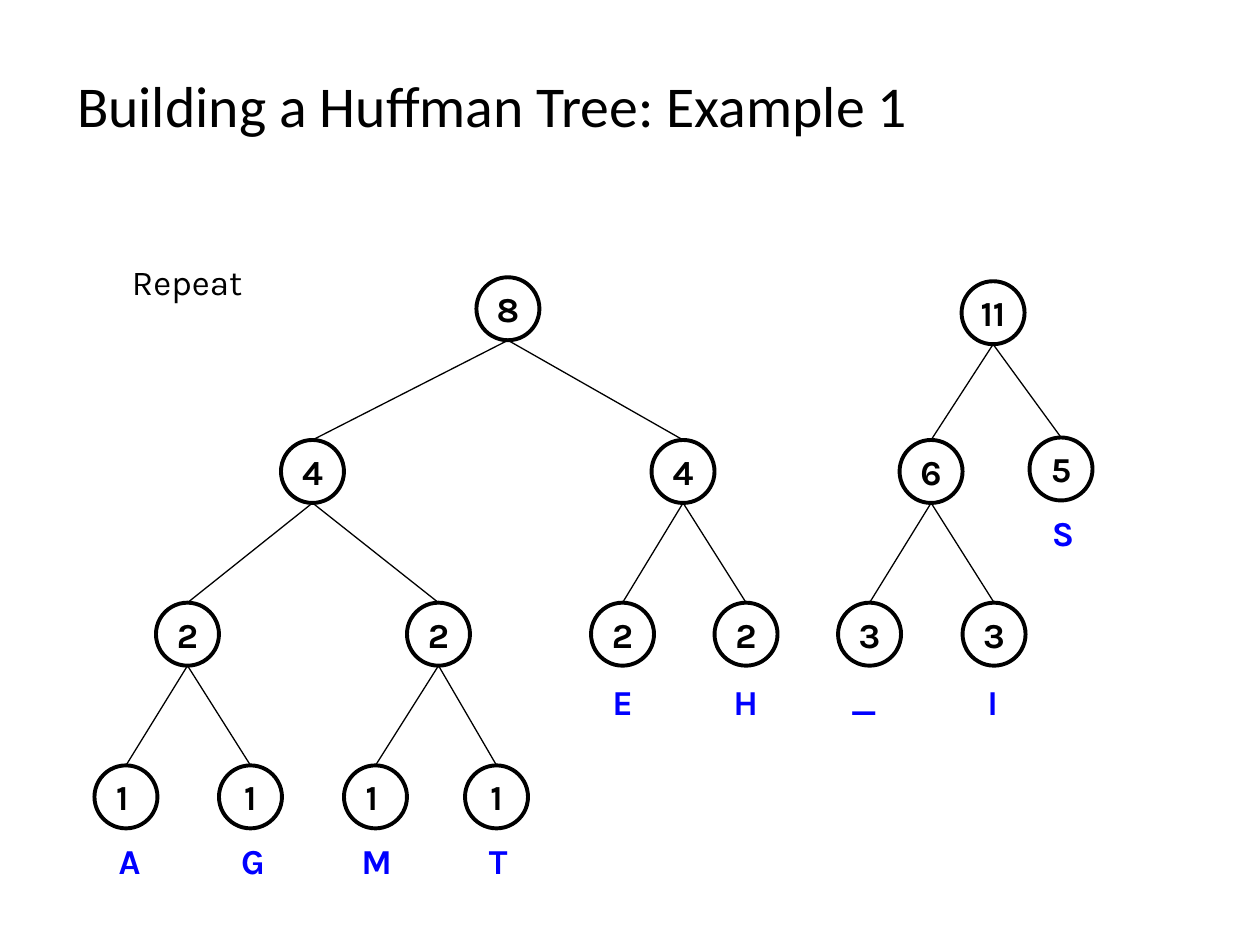
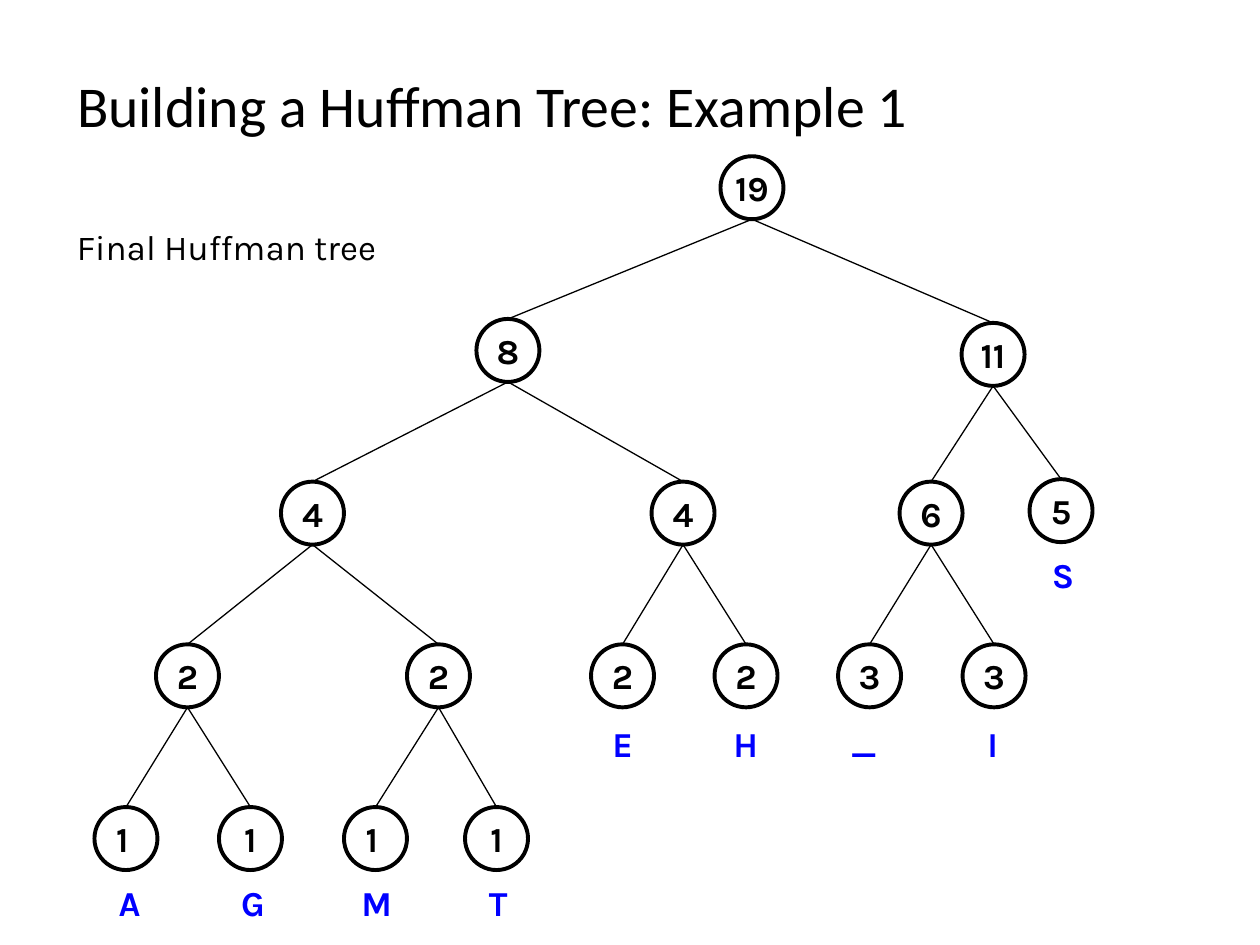
"""Draw two steps of building a Huffman tree."""
from collections import namedtuple

from lxml import etree
from pptx import Presentation
from pptx.dml.color import RGBColor
from pptx.enum.shapes import MSO_CONNECTOR, MSO_SHAPE
from pptx.enum.text import MSO_ANCHOR, MSO_AUTO_SIZE, PP_ALIGN
from pptx.oxml.ns import qn
from pptx.util import Cm, Pt

LEFT, CENTER = PP_ALIGN.LEFT, PP_ALIGN.CENTER
TOP, MIDDLE = MSO_ANCHOR.TOP, MSO_ANCHOR.MIDDLE
CIRCLE = MSO_SHAPE.FLOWCHART_CONNECTOR
STRAIGHT = MSO_CONNECTOR.STRAIGHT
NO_FIT = MSO_AUTO_SIZE.NONE

COLORS = {"ink": "000000", "letter": "0000FF"}
TITLE = "Building a Huffman Tree: Example 1"
SIZE = 1.27
PITCH = 3.28

Node = namedtuple("Node", "count x kids letter drop", defaults=((), "", 0))
Tag = namedtuple("Tag", "shift width gap align node_align",
                 defaults=(1.37, LEFT, CENTER))

TAGS = {
    "A": Tag(0.15, 1.12, align=CENTER, node_align=LEFT),
    "G": Tag(0.1, 1.17, align=CENTER),
    "M": Tag(0.05, 1.22, align=CENTER, node_align=LEFT),
    "T": Tag(0.23, 1.02),
    "E": Tag(0.18, 1.07, 1.45),
    "H": Tag(0.13, 1.12, 1.45),
    "_": Tag(0, 1, 1.45),
    "I": Tag(0.25, 0.74, 1.45),
    "S": Tag(0.2, 1.07),
}

EIGHT = Node(8, 10.24, (
    Node(4, 6.3, (
        Node(2, 3.78, (Node(1, 2.54, letter="A"), Node(1, 5.05, letter="G"))),
        Node(2, 8.84, (Node(1, 7.57, letter="M"), Node(1, 10.01, letter="T"))),
    )),
    Node(4, 13.77, (Node(2, 12.55, letter="E"), Node(2, 15.04, letter="H"))),
))
ELEVEN = Node(11, 20.02, (
    Node(6, 18.77, (Node(3, 17.53, letter="_"), Node(3, 20.04, letter="I"))),
    Node(5, 21.39, letter="S", drop=-0.05),
), drop=0.08)
ROOT = Node(19, 15.16, (EIGHT, ELEVEN))


class Deck:
    """Hold the style and the current slide."""

    def __init__(self):
        self.prs = Presentation()
        self.prs.slide_width, self.prs.slide_height = Cm(25.4), Cm(19.05)
        self.slide = None

    def fill_text(self, shape, text, size=20, font="Karla", color="ink",
                  bold=False, align=LEFT, anchor=TOP, wrap=False):
        frame = shape.text_frame
        frame.text = text
        frame.auto_size = NO_FIT
        frame.word_wrap = wrap
        frame.vertical_anchor = anchor
        para = frame.paragraphs[0]
        para.alignment = align
        face = para.runs[0].font
        face.size, face.name, face.bold = Pt(size), font, bold
        face.color.rgb = RGBColor.from_string(COLORS[color])

    def stroke(self, line, width):
        line.color.rgb = RGBColor.from_string(COLORS["ink"])
        line.width = Pt(width)

    def page(self, title):
        self.slide = self.prs.slides.add_slide(self.prs.slide_layouts[5])
        shape = self.slide.shapes.title
        shape.left, shape.top = Cm(1.3), Cm(1.02)
        shape.width, shape.height = Cm(22.35), Cm(2.36)
        self.fill_text(shape, title, 33, "Calibri", anchor=MIDDLE, wrap=True)
        shape.text_frame.paragraphs[0].line_spacing = 0.9

    def label(self, text, x, y, width, height=1.12, **style):
        box = self.slide.shapes.add_textbox(
            Cm(x), Cm(y), Cm(width), Cm(height))
        self.fill_text(box, text, **style)

    def circle(self, text, x, y, align):
        shape = self.slide.shapes.add_shape(
            CIRCLE, Cm(x), Cm(y), Cm(SIZE), Cm(SIZE))
        shape.shadow.inherit = False
        shape.fill.background()
        self.stroke(shape.line, 2.25)
        self.fill_text(shape, text, bold=True, align=align, anchor=MIDDLE)

    def edge(self, x1, y1, x2, y2):
        line = self.slide.shapes.add_connector(
            STRAIGHT, Cm(x1), Cm(y1), Cm(x2), Cm(y2))
        self.stroke(line.line, 0.75)
        etree.SubElement(line.element.spPr, qn("a:effectLst"))

    def tree(self, node, level):
        left, top = node.x - SIZE / 2, level + node.drop
        tag = TAGS.get(node.letter)
        self.circle(str(node.count), left, top,
                    tag.node_align if tag else CENTER)
        if tag:
            self.label(node.letter, left + tag.shift, top + tag.gap,
                       tag.width, SIZE, color="letter", bold=True,
                       align=tag.align)
        for kid in node.kids:
            below = level + PITCH
            self.edge(kid.x, below + kid.drop, node.x, top + SIZE)
            self.tree(kid, below)


def main():
    deck = Deck()
    deck.page(TITLE)
    deck.label("Repeat", 2.41, 5.13, 5.16, wrap=True)
    for node in (EIGHT, ELEVEN):
        deck.tree(node, 5.59)

    deck.page(TITLE)
    deck.label("Final Huffman tree", 1.3, 4.42, 9.32, wrap=True)
    deck.tree(ROOT, 3.15)
    deck.prs.save("out.pptx")


if __name__ == "__main__":
    main()
